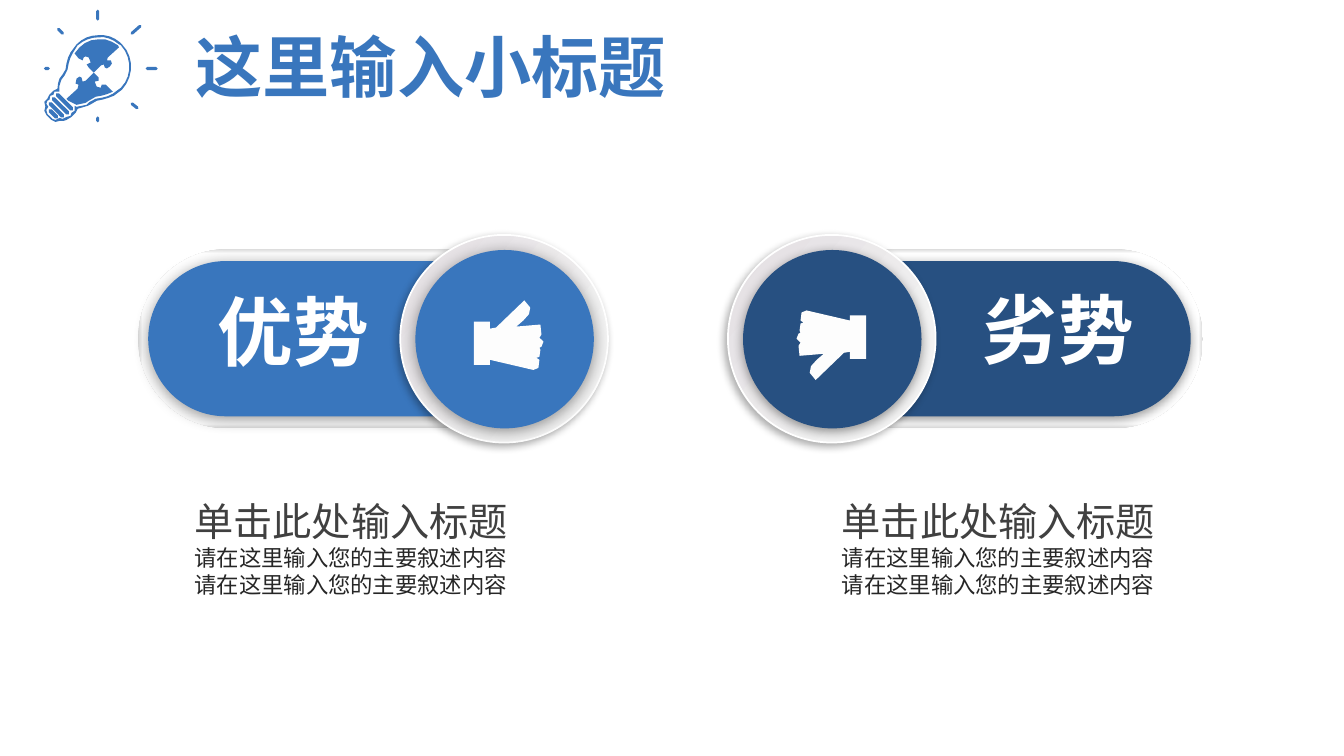
from math import atan2, cos, dist, pi, sin

from lxml import etree
from pptx import Presentation
from pptx.dml.color import RGBColor
from pptx.enum.shapes import MSO_SHAPE as Shape
from pptx.enum.text import MSO_AUTO_SIZE as AutoSize
from pptx.oxml.ns import qn
from pptx.util import Pt

PX = 9144
FONT = "Noto Sans CJK SC"
BLUE, NAVY, WHITE, OFF_WHITE = "3976BD", "275081", "FFFFFF", "FDFDFD"

presentation = Presentation()
presentation.slide_width = 1333 * PX
presentation.slide_height = 750 * PX
slide = presentation.slides.add_slide(presentation.slide_layouts[6])
shapes = slide.shapes


def paint(shape, stops, shadow=None):
    if len(stops) == 1:
        shape.fill.solid()
        shape.fill.fore_color.rgb = RGBColor.from_string(stops[0][1])
    else:
        shape.fill.gradient()
        for stop, (position, color) in zip(shape.fill.gradient_stops, stops):
            stop.position = position / 100
            stop.color.rgb = RGBColor.from_string(color)
    shape.line.fill.background()
    shape.shadow.inherit = False
    if shadow:
        opacity, blur, distance, angle = shadow
        effects = shape._element.spPr.find(qn("a:effectLst"))
        outer = etree.SubElement(
            effects, qn("a:outerShdw"), blurRad=str(Pt(blur)), dist=str(Pt(distance)),
            dir=str(angle * 60000), algn="ctr", rotWithShape="0")
        black = etree.SubElement(outer, qn("a:srgbClr"), val="000000")
        etree.SubElement(black, qn("a:alpha"), val=str(opacity * 1000))


def trace(contours, color):
    builder = None
    for contour in contours:
        points = [contour[0]]
        for step in contour[1:]:
            if len(step) == 2:
                points.append(step)
                continue
            x0, y0 = points[-1]
            x1, y1, x2, y2, x3, y3 = step
            count = 1 + int(dist((x0, y0), (x3, y3)) / 7)
            for part in range(1, count + 1):
                t = part / count
                a, b, c, d = (1 - t) ** 3, 3 * t * (1 - t) ** 2, 3 * t * t * (1 - t), t ** 3
                points.append((a * x0 + b * x1 + c * x2 + d * x3,
                               a * y0 + b * y1 + c * y2 + d * y3))
        points = [(round(x * PX), round(y * PX)) for x, y in points]
        if builder is None:
            builder = shapes.build_freeform(*points[0])
        else:
            builder.move_to(*points[0])
        builder.add_line_segments(points[1:], close=True)
    paint(builder.convert_to_shape(), [(0, color)])


bulb_outside = [
    (46, 114), (44, 110), (45, 106), (44, 101), (47, 98), (49, 94), (53, 90), (57, 88),
    (57, 84, 58, 81, 59, 78), (62, 74), (65, 69),
    (66, 62, 67, 57, 70, 52), (76, 44), (82, 38, 89, 35, 97, 35),
    (106, 34, 113, 37, 119, 42), (121, 44), (133, 56, 133, 76, 121, 89), (113, 95),
    (108, 97, 103, 99, 96, 100), (91, 103), (87, 105), (77, 108), (75, 112),
    (71, 116), (66, 119), (63, 120), (59, 120), (55, 121), (51, 119)]
bulb_inside = [
    (120, 45), (118, 44), (112, 39, 105, 36, 98, 37), (90, 37, 83, 40, 77, 45), (72, 53),
    (69, 58, 68, 63, 67, 69), (64, 75), (61, 79), (59, 85), (59, 91), (54, 91), (53, 94),
    (50, 95), (49, 99), (47, 100), (46, 103), (48, 106), (46, 109), (47, 113), (52, 118),
    (55, 119), (59, 117), (62, 118), (66, 116), (70, 115), (71, 112), (74, 110), (74, 105),
    (76, 106), (86, 104), (89, 101), (95, 98), (102, 97, 107, 96, 112, 93), (120, 87),
    (131, 76, 131, 57, 120, 45)]
lower_puzzle = [
    (112, 91), (106, 94, 101, 95, 95, 96), (88, 100), (85, 102), (76, 104), (68, 100),
    (66, 98), (77, 88), (78, 84), (75, 83), (76, 78), (79, 76), (81, 77), (82, 81),
    (85, 80), (93, 72), (98, 77), (98, 80), (94, 81), (96, 86), (100, 87), (101, 84),
    (105, 84)]
upper_puzzle = [
    (109, 66), (106, 68), (104, 67), (103, 64), (100, 65), (93, 72), (88, 67), (86, 64),
    (90, 62), (88, 57), (85, 56), (83, 57), (82, 60), (78, 58), (74, 53), (79, 47),
    (84, 42, 90, 39, 98, 39), (105, 38, 111, 41, 117, 45), (118, 47), (107, 57),
    (106, 60), (110, 60), (111, 63)]
ribs = [(57, 94, 71, 108), (53, 98, 67, 112), (50, 103, 62, 115), (50, 110, 56, 116)]
rays = [(97, 117, 97, 120), (45, 68, 48, 68), (131, 103, 136, 107), (58, 29, 62, 33),
        (97, 11, 97, 19), (146, 68, 155, 68), (131, 33, 139, 26)]

capsules = []
for x1, y1, x2, y2 in ribs + rays:
    radius = 2 if len(capsules) < len(ribs) else 1.5
    heading = atan2(y2 - y1, x2 - x1)
    capsule = []
    for x, y, start in ((x1, y1, heading + pi / 2), (x2, y2, heading - pi / 2)):
        for part in range(3):
            angle = start + part * pi / 2
            capsule.append((x + radius * cos(angle), y + radius * sin(angle)))
    capsules.append(capsule)

bulb_parts = [[bulb_outside, bulb_inside], [lower_puzzle], [upper_puzzle]]
bulb_parts += [[rib] for rib in capsules[:len(ribs)]] + [capsules[len(ribs):]]
for contours in bulb_parts:
    trace(contours, BLUE)

thumb_up = [
    (536, 322), (537, 332), (535, 335), (539, 339), (537, 344), (535, 345), (536, 347),
    (535, 354), (532, 355), (535, 357), (534, 365), (529, 367), (486, 357),
    (486, 362), (470, 362), (470, 319), (486, 319), (486, 326), (492, 325), (520, 298),
    (534, 308, 521, 316, 512, 324)]
thumb_down = [tuple((675 if i % 2 else 1329) - value for i, value in enumerate(step))
              for step in thumb_up]

for pill_left, circle_left, color, blur, thumb in (
        (276, 397, BLUE, 11, thumb_up), (876, 722, NAVY, 8, thumb_down)):
    button_shadow = (40, blur, 2, 90)
    frame_stops = [(95, WHITE), (100, "D9D9D9")]
    ring_stops = [(0, "E2DDE1"), (76, "F2F2F2")]
    parts = {}
    for name, kind, left, top, width, height, stops, shadow in (
            ("frame", Shape.ROUNDED_RECTANGLE, pill_left, 108, 178, 456, frame_stops, None),
            ("pill", Shape.ROUNDED_RECTANGLE, pill_left + 11, 119, 154, 434,
             [(0, color)], button_shadow),
            ("ring", Shape.OVAL, circle_left, 233, 206, 206, ring_stops, (32, 6, 3, 135)),
            ("button", Shape.OVAL, circle_left + 15, 248, 177, 177,
             [(0, color)], button_shadow)):
        shape = shapes.add_shape(kind, left * PX, top * PX, width * PX, height * PX)
        shape.rotation = 270
        if kind == Shape.ROUNDED_RECTANGLE:
            shape.adjustments[0] = 0.5
        paint(shape, stops, shadow)
        parts[name] = shape

    gradient = parts["frame"]._element.spPr.find(qn("a:gradFill"))
    gradient.remove(gradient.find(qn("a:lin")))
    outline = etree.SubElement(gradient, qn("a:path"), {"path": "shape"})
    etree.SubElement(outline, qn("a:fillToRect"), l="50000", t="50000", r="50000", b="50000")
    ring = parts["ring"]
    ring.fill.gradient_angle = 230
    ring.line.color.rgb = RGBColor.from_string(WHITE)
    ring.line.width = Pt(1.25)
    trace([thumb], OFF_WHITE)

description = ("请在这里输入您的主要叙述内容", 16, "262626")
details = [("单击此处输入标题", 28, "404040"), description, description]
for left, top, width, height, lines in (
        (184, 20, 494, 91, [("这里输入小标题", 48, BLUE)]),
        (965, 275, 172, 101, [("劣势", 54, WHITE)]),
        (206, 277, 172, 101, [("优势", 54, WHITE)]),
        (183, 488, 342, 178, details),
        (825, 488, 342, 178, details)):
    box = shapes.add_textbox(left * PX, top * PX, width * PX, height * PX)
    text_frame = box.text_frame
    text_frame.word_wrap = False
    text_frame.auto_size = AutoSize.SHAPE_TO_FIT_TEXT
    text_frame.text = "\n".join(text for text, size, color in lines)
    for paragraph, (text, size, color) in zip(text_frame.paragraphs, lines):
        paragraph.line_spacing = Pt(round(size * 1.2))
        font = paragraph.runs[0].font
        font.name = FONT
        font.size = Pt(size)
        font.bold = size >= 48
        font.color.rgb = RGBColor.from_string(color)
        etree.SubElement(font._element, qn("a:ea"), typeface=FONT)

presentation.save("out.pptx")
